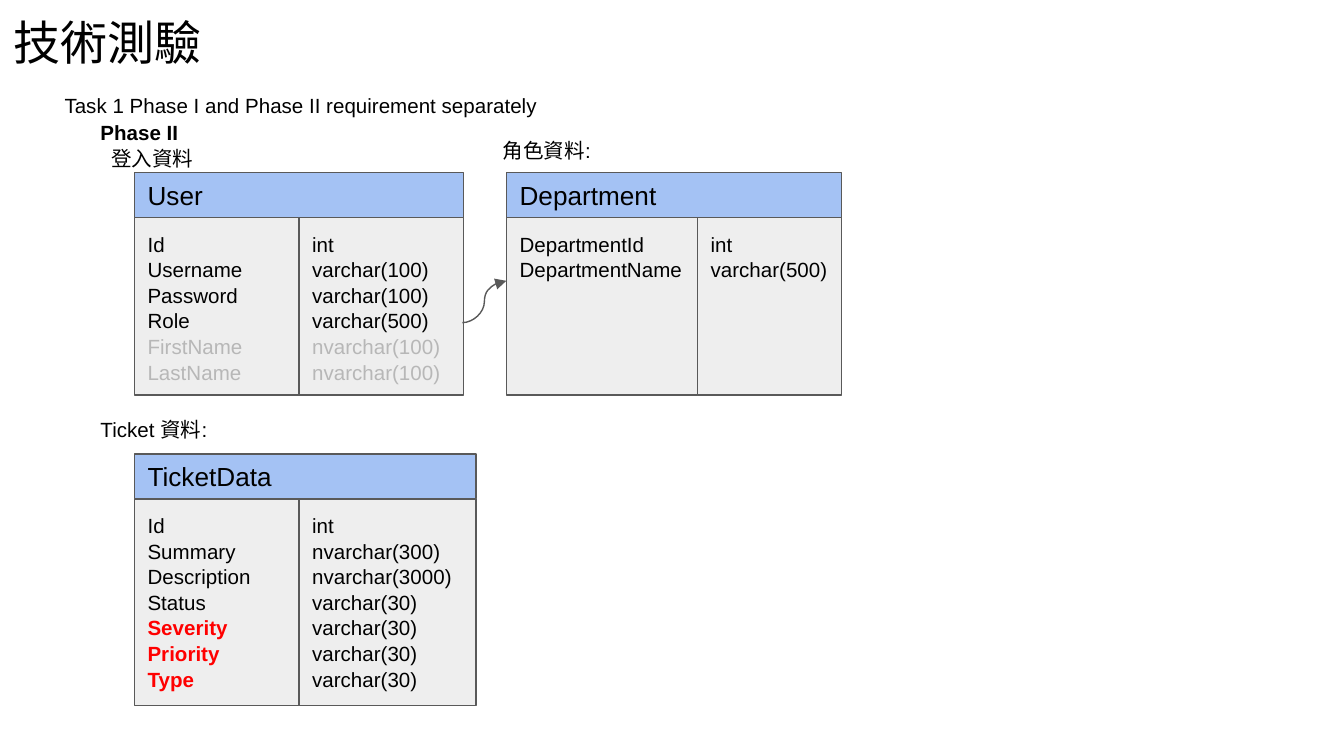
"""Build a slide showing the Phase II database tables and their relation."""
import lxml.etree
import pptx
import pptx.dml.color
import pptx.enum.shapes
import pptx.enum.text
import pptx.oxml.ns
import pptx.util

Cm = pptx.util.Cm
Pt = pptx.util.Pt
RGBColor = pptx.dml.color.RGBColor
Anchor = pptx.enum.text.MSO_ANCHOR

BLACK = RGBColor(0x00, 0x00, 0x00)
RED = RGBColor(0xFF, 0x00, 0x00)
MUTED = RGBColor(0xB7, 0xB7, 0xB7)
GREY = RGBColor(0xEE, 0xEE, 0xEE)
BLUE = RGBColor(0xA4, 0xC2, 0xF4)
OUTLINE = RGBColor(0x59, 0x59, 0x59)


def write(box, text, size=11, color=BLACK, bold=False, indent=0, spacing=1.04):
    """Add each line of the text to the box as a paragraph."""
    frame = box.text_frame
    for line in text.split("\n"):
        para = frame.add_paragraph() if frame.text else frame.paragraphs[0]
        para.alignment = pptx.enum.text.PP_ALIGN.LEFT
        para.line_spacing = spacing
        if indent:
            para._p.get_or_add_pPr().set("marL", str(Cm(indent)))
        span = para.add_run()
        span.text = line
        span.font.name = "Arial"
        span.font.size = Pt(size)
        span.font.bold = bold
        span.font.color.rgb = color


class Diagram:
    """Hold the slide and the shared style of its elements."""

    inset = Cm(0.25)
    line_width = Pt(0.75)

    def __init__(self, page):
        self.page = page

    def frame(self, box, anchor=Anchor.TOP):
        """Set the wrapping, margins and anchor of a box."""
        frame = box.text_frame
        frame.word_wrap = True
        frame.vertical_anchor = anchor
        frame.margin_left = frame.margin_right = self.inset
        frame.margin_top = frame.margin_bottom = self.inset
        return box

    def label(self, left, top, width, height):
        """Add an empty text box."""
        return self.frame(self.page.shapes.add_textbox(
            Cm(left), Cm(top), Cm(width), Cm(height)))

    def cell(self, left, top, width, height, fill, anchor=Anchor.TOP):
        """Add an empty outlined rectangle."""
        box = self.page.shapes.add_shape(
            pptx.enum.shapes.MSO_SHAPE.RECTANGLE,
            Cm(left), Cm(top), Cm(width), Cm(height))
        box.shadow.inherit = False
        box.fill.solid()
        box.fill.fore_color.rgb = fill
        box.line.color.rgb = OUTLINE
        box.line.width = self.line_width
        return self.frame(box, anchor)

    def entity(self, name, left, top, widths, height):
        """Add a titled entity and return its field and type columns."""
        header = 0.85
        fields = self.cell(left, top + header, widths[0], height, GREY)
        title = self.cell(left, top, sum(widths), header, BLUE, Anchor.MIDDLE)
        write(title, name, size=14, spacing=1)
        types = self.cell(left + widths[0], top + header, widths[1], height, GREY)
        return fields, types

    def relation(self, start, end):
        """Add a curved arrow between two points."""
        arrow = self.page.shapes.add_connector(
            pptx.enum.shapes.MSO_CONNECTOR.CURVE,
            *(Cm(value) for value in start + end))
        arrow.line.color.rgb = OUTLINE
        arrow.line.width = self.line_width
        tag = pptx.oxml.ns.qn
        lxml.etree.SubElement(
            arrow.line._get_or_add_ln(), tag("a:tailEnd"), type="triangle")
        lxml.etree.SubElement(arrow._element.spPr, tag("a:effectLst"))


def main():
    """Compose and save the slide."""
    deck = pptx.Presentation()
    deck.slide_width = Cm(25.4)
    deck.slide_height = Cm(14.29)
    diagram = Diagram(deck.slides.add_slide(deck.slide_layouts[6]))

    write(diagram.label(0, 0, 23.67, 1.6), "技術測驗", size=25.2, spacing=1)
    write(diagram.label(0.97, 1.52, 10.44, 0.99),
          "Task 1 Phase I and Phase II requirement separately", spacing=1)

    fields, types = diagram.entity("User", 2.54, 3.26, (3.11, 3.11), 3.36)
    write(fields, "Id\nUsername\nPassword\nRole")
    write(fields, "FirstName\nLastName", color=MUTED)
    write(types, "int\nvarchar(100)\nvarchar(100)\nvarchar(500)")
    write(types, "nvarchar(100)\nnvarchar(100)", color=MUTED)

    fields, types = diagram.entity("Department", 9.57, 3.26, (3.61, 2.72), 3.36)
    write(fields, "DepartmentId\nDepartmentName")
    write(types, "int\nvarchar(500)")

    write(diagram.label(1.65, 7.62, 9.86, 1.45), "Ticket 資料:")
    fields, types = diagram.entity("TicketData", 2.54, 8.58, (3.11, 3.35), 3.91)
    write(fields, "Id\nSummary\nDescription\nStatus")
    write(fields, "Severity Priority\nType", color=RED, bold=True)
    write(types, "int\nnvarchar(300)\nnvarchar(3000)\n"
                 "varchar(30)\nvarchar(30)\nvarchar(30)\nvarchar(30)")

    diagram.relation((8.74, 6.1), (9.57, 5.31))

    phase = diagram.label(1.65, 2.01, 6.22, 1.45)
    write(phase, "Phase II", bold=True)
    write(phase, "登入資料", indent=0.2)
    write(diagram.label(9.25, 2.34, 9.86, 1.45), "角色資料:")

    deck.save("out.pptx")


if __name__ == "__main__":
    main()
